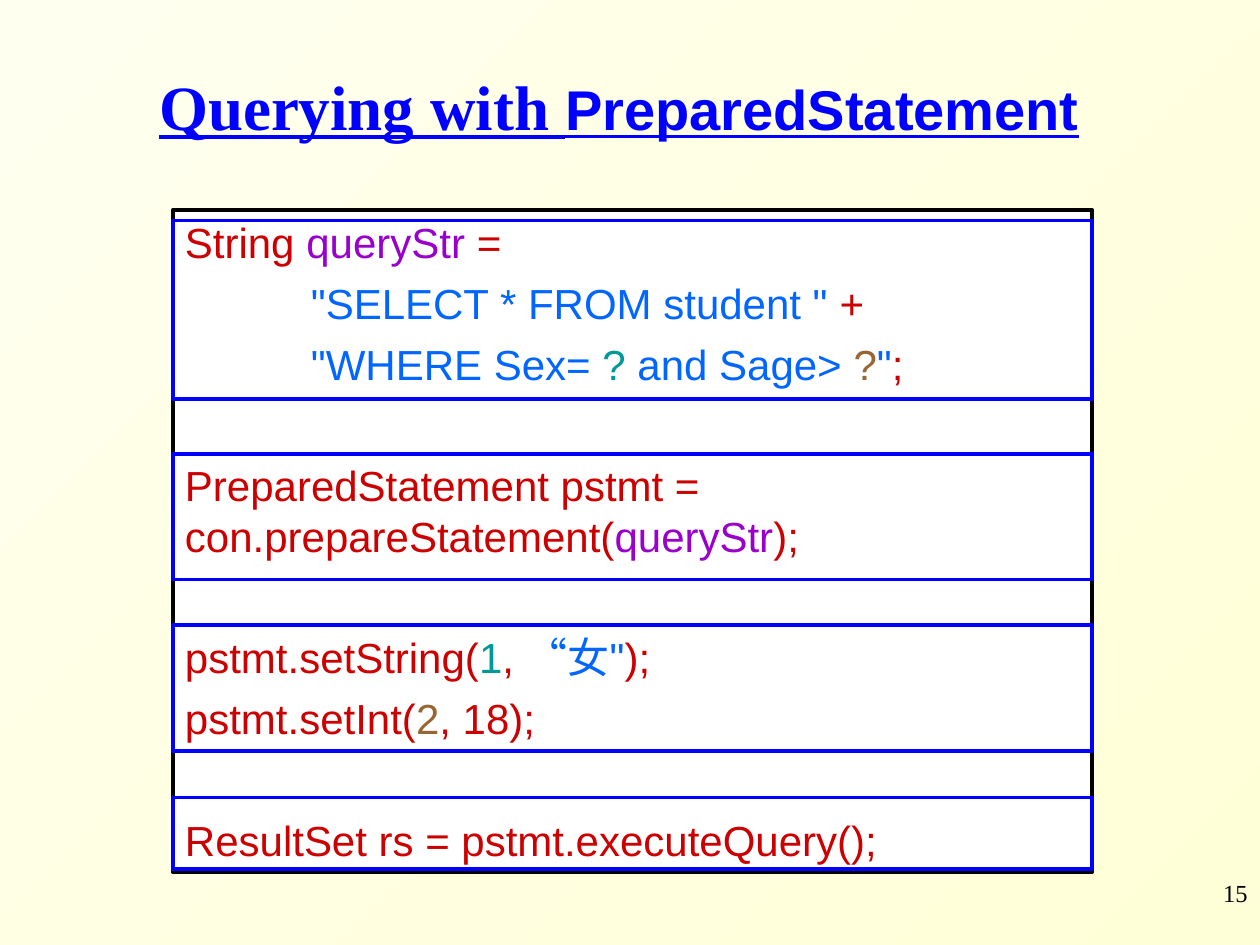
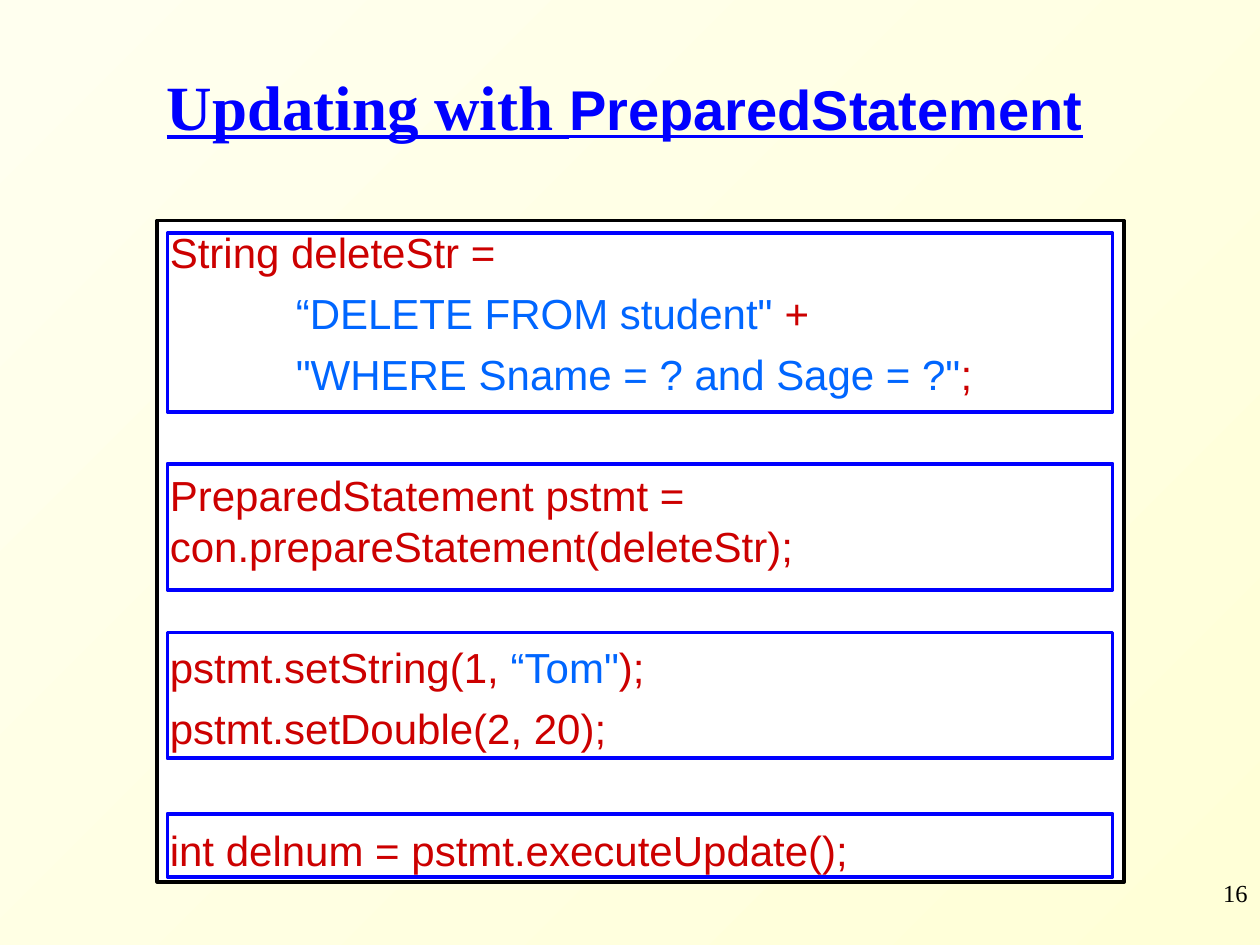
import pptx
import pptx.util
import pptx.dml.color
import pptx.enum.shapes
import pptx.enum.text

Inches, Pt = pptx.util.Inches, pptx.util.Pt
PP_ALIGN, MSO_ANCHOR = pptx.enum.text.PP_ALIGN, pptx.enum.text.MSO_ANCHOR
RECT = pptx.enum.shapes.MSO_SHAPE.RECTANGLE

BLUE, BLACK, WHITE = "0000FF", "000000", "FFFFFF"
CODE, STRING, VARIABLE = "CC0000", "0066FF", "9900CC"
FIRST, SECOND = "009999", "996633"
BREAK = "\n"
LINE_GAP, BLOCK_GAP = 6, 40.6


def rgb(color):
    return pptx.dml.color.RGBColor.from_string(color)


def add_run(p, text, color, size, font):
    r = p.add_run()
    r.text = text
    r.font.name = font
    r.font.size = Pt(size)
    r.font.color.rgb = rgb(color)
    return r


# Each code line: space before, left indent in inches, coloured parts
slides = [
    dict(
        number="15", title="Querying with ", title_box=(0.5, 8.83),
        panel=(1.37, 1.67, 7.3, 5.25), frame_x=(1.37, 7.3),
        frames=[(1.75, 1.42), (3.6, 1), (4.96, 1), (6.33, 0.57)],
        code=[
            (LINE_GAP, 0, [("String ", CODE), ("queryStr ", VARIABLE), ("=", CODE)]),
            (LINE_GAP, 1, [('"SELECT * FROM student " ', STRING), ("+", CODE)]),
            (LINE_GAP, 1, [('"WHERE Sex= ', STRING), ("? ", FIRST), ("and Sage> ", STRING),
                           ("?", SECOND), ('"', STRING), (";", CODE)]),
            (BLOCK_GAP, 0, [("PreparedStatement pstmt =", CODE), (BREAK, CODE),
                            ("con.prepareStatement(", CODE), ("queryStr", VARIABLE), (");", CODE)]),
            (BLOCK_GAP, 0, [("pstmt.setString(", CODE), ("1", FIRST), (", ", CODE),
                            ('“女"', STRING), (");", CODE)]),
            (LINE_GAP, 0, [("pstmt.setInt(", CODE), ("2", SECOND), (", 18);", CODE)]),
            (BLOCK_GAP, 0, [("ResultSet rs = pstmt.executeQuery();", CODE)]),
        ],
    ),
    dict(
        number="16", title="Updating with ", title_box=(1, 7.92),
        panel=(1.25, 1.75, 7.67, 5.25), frame_x=(1.33, 7.5),
        frames=[(1.85, 1.42), (3.68, 1), (5.02, 1), (6.46, 0.5)],
        code=[
            (LINE_GAP, 0, [("String deleteStr =", CODE)]),
            (LINE_GAP, 1, [('“DELETE FROM student" ', STRING), ("+", CODE)]),
            (LINE_GAP, 1, [('"WHERE Sname = ? and Sage = ?"', STRING), (";", CODE)]),
            (BLOCK_GAP, 0, [("PreparedStatement pstmt =", CODE), (BREAK, CODE),
                            ("con.prepareStatement(deleteStr);", CODE)]),
            (BLOCK_GAP, 0, [("pstmt.setString(1, ", CODE), ('“Tom"', STRING), (");", CODE)]),
            (LINE_GAP, 0, [("pstmt.setDouble(2, 20);", CODE)]),
            (BLOCK_GAP, 0, [("int delnum = pstmt.executeUpdate();", CODE)]),
        ],
    ),
]

prs = pptx.Presentation()
prs.slide_width, prs.slide_height = Inches(10), Inches(7.5)

# Shared background
fill = prs.slide_master.background.fill
fill.gradient()
fill.gradient_angle = 135
for stop, color in zip(fill.gradient_stops, ("FFFFD7", "FFFFEF")):
    stop.color.rgb = rgb(color)

for content in slides:
    s = prs.slides.add_slide(prs.slide_layouts[5])

    # Title
    title = s.shapes.title
    left, width = content["title_box"]
    title.left, title.top = Inches(left), Inches(0.42)
    title.width, title.height = Inches(width), Inches(0.92)
    tf = title.text_frame
    tf.auto_size = pptx.enum.text.MSO_AUTO_SIZE.NONE
    tf.vertical_anchor = MSO_ANCHOR.MIDDLE
    p = tf.paragraphs[0]
    p.alignment = PP_ALIGN.CENTER
    p.line_spacing = 0.85
    for text, size, font in ((content["title"], 36, "Times New Roman"),
                             ("PreparedStatement", 32, "Arial")):
        r = add_run(p, text, BLUE, size, font)
        r.font.bold = r.font.underline = True

    # Code panel
    panel = s.shapes.add_shape(RECT, *map(Inches, content["panel"]))
    panel.shadow.inherit = False
    panel.fill.solid()
    panel.fill.fore_color.rgb = rgb(WHITE)
    panel.line.color.rgb = rgb(BLACK)
    panel.line.width = Pt(2.25)
    tf = panel.text_frame
    tf.word_wrap = True
    tf.vertical_anchor = MSO_ANCHOR.TOP
    for i, (gap, indent, parts) in enumerate(content["code"]):
        p = tf.add_paragraph() if i else tf.paragraphs[0]
        p.alignment = PP_ALIGN.LEFT
        p.space_before = Pt(gap)
        p._p.get_or_add_pPr().set("marL", str(Inches(indent)))
        for text, color in parts:
            if text == BREAK:
                p.add_line_break()
            else:
                add_run(p, text, color, 24, "Arial")

    # Frames around the steps of the code
    left, width = content["frame_x"]
    for top, height in content["frames"]:
        frame = s.shapes.add_shape(RECT, *map(Inches, (left, top, width, height)))
        frame.shadow.inherit = False
        frame.fill.background()
        frame.line.color.rgb = rgb(BLUE)
        frame.line.width = Pt(2.25)

    # Slide number
    tf = s.shapes.add_textbox(*map(Inches, (7.92, 6.92, 2.08, 0.5))).text_frame
    tf.word_wrap = True
    p = tf.paragraphs[0]
    p.alignment = PP_ALIGN.RIGHT
    add_run(p, content["number"], BLACK, 14, "Times New Roman")

prs.save("out.pptx")
